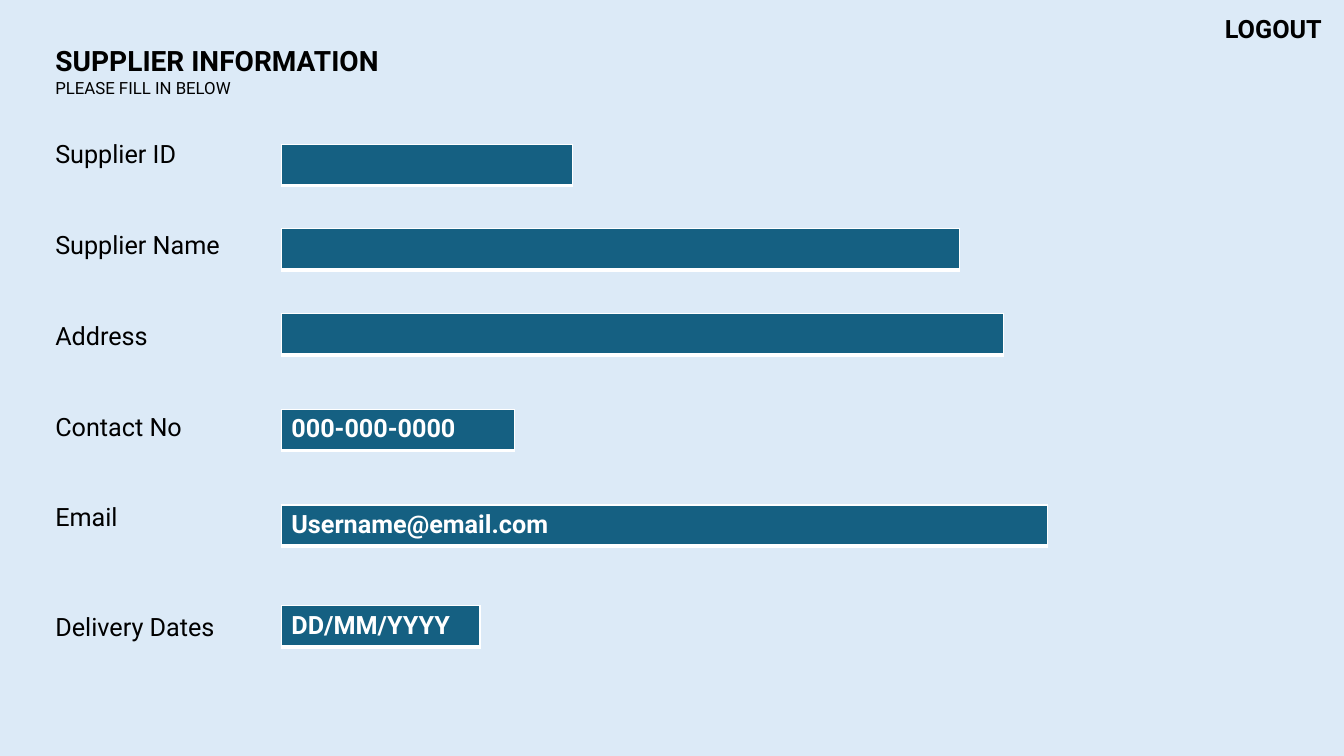
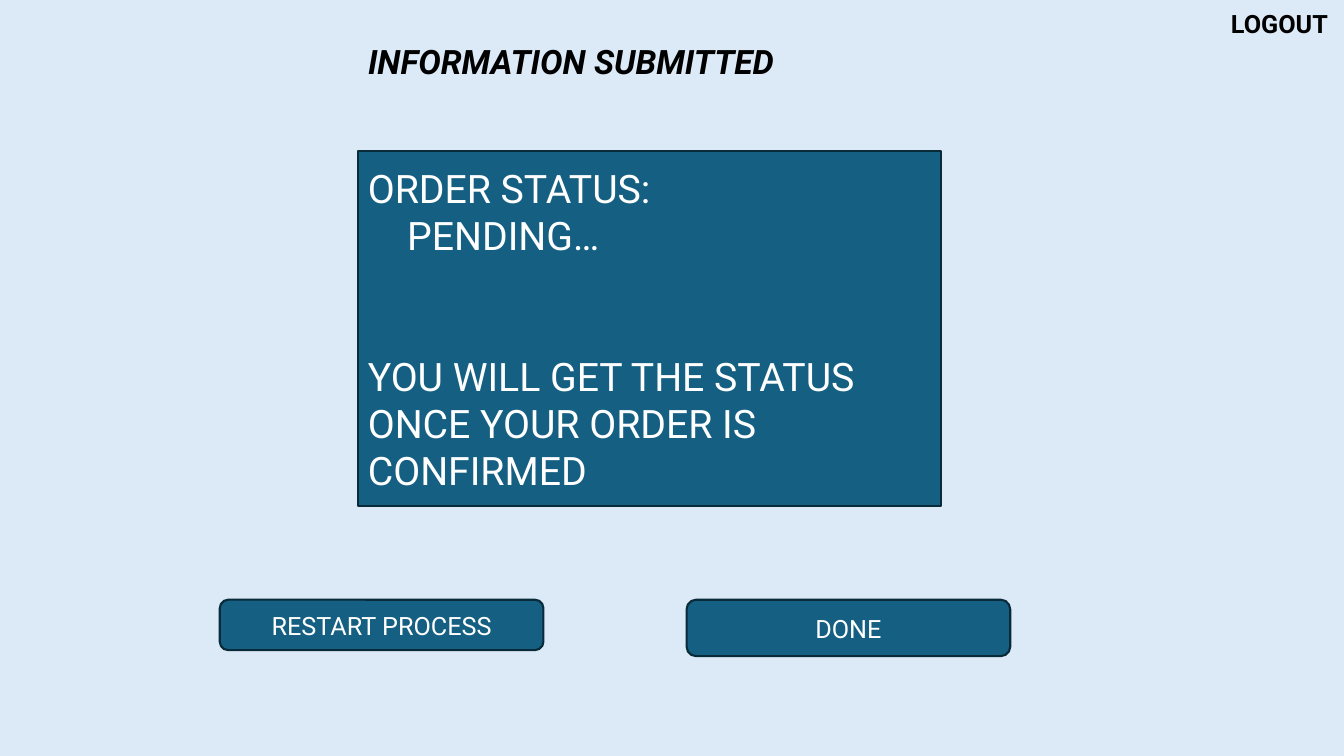
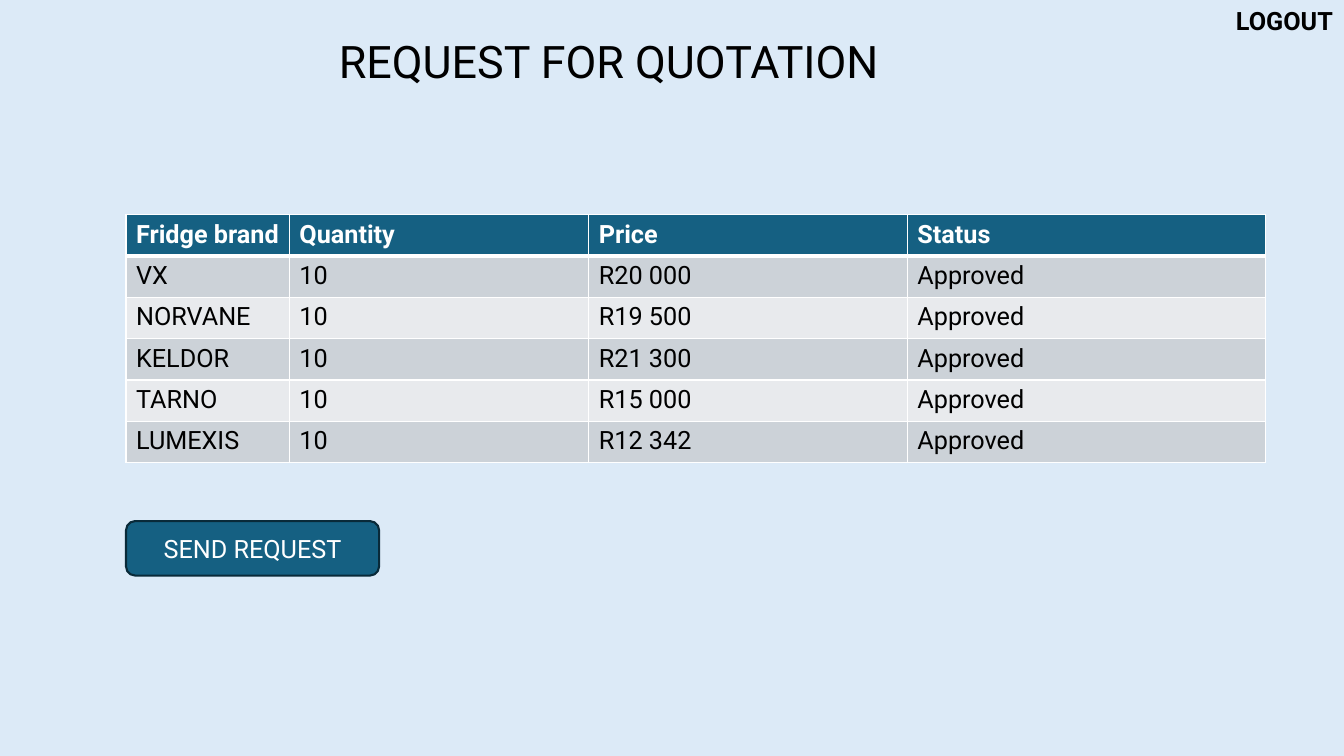
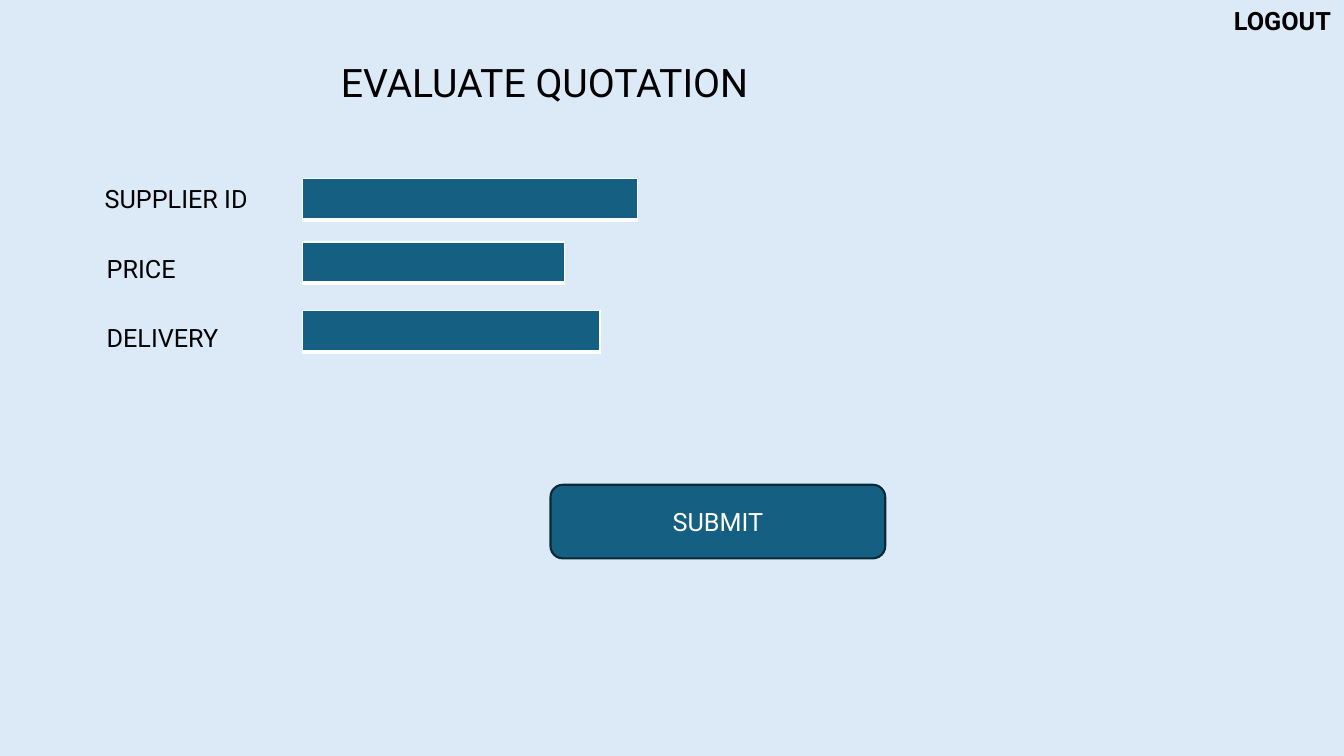
from dataclasses import dataclass

from lxml.etree import SubElement
from pptx import Presentation
from pptx.dml.color import RGBColor
from pptx.enum.shapes import MSO_SHAPE as Shape
from pptx.enum.text import MSO_ANCHOR as Anchor, MSO_AUTO_SIZE as AutoSize, PP_ALIGN as Align
from pptx.oxml.ns import qn
from pptx.util import Pt

EMU_PER_PX = 9144  # 100 px to the inch
SLIDE_WIDTH, SLIDE_HEIGHT = 1333, 750
ROW_HEIGHT = 41
TITLE_ONLY = 5


@dataclass(frozen=True)
class Theme:
    font: str = "Roboto"
    background: str = "DCEAF7"
    accent: str = "156082"
    outline: str = "092A39"
    dark: str = "000000"
    light: str = "FFFFFF"
    bands: tuple = ("CCD2D8", "E8EAED")
    small: int = 12
    body: int = 18
    message: int = 28
    outline_width: float = 1.5
    border: int = 1
    heavy_border: int = 3


def px(*lengths):
    return [length * EMU_PER_PX for length in lengths]


def rgb(color):
    return RGBColor.from_string(color)


def set_borders(cell, color, widths):
    """Draw the cell's sides; widths maps L, R, T and B, in that order, to points."""
    properties = cell._tc.get_or_add_tcPr()
    for index, (side, width) in enumerate(widths.items()):
        line = SubElement(properties, qn(f"a:ln{side}"), w=str(Pt(width)))
        fill = SubElement(line, qn("a:solidFill"))
        SubElement(fill, qn("a:srgbClr"), val=color)
        properties.insert(index, line)


class Deck:
    """Holds the style and the current slide."""

    def __init__(self, theme):
        self.theme = theme
        self.presentation = Presentation()
        self.presentation.slide_width, self.presentation.slide_height = px(SLIDE_WIDTH, SLIDE_HEIGHT)
        fill = self.presentation.slide_master.background.fill
        fill.solid()
        fill.fore_color.rgb = rgb(theme.background)
        self.slide = None

    def format(self, paragraph, size, color, bold=False, italic=False, align=Align.LEFT):
        paragraph.alignment = align
        font = paragraph.font
        font.name, font.size = self.theme.font, Pt(size)
        font.bold, font.italic = bold, italic
        font.color.rgb = rgb(color)

    def new_slide(self, title, box, size, logout, **style):
        """Start a slide with its title and the logout link at (left, top)."""
        layout = self.presentation.slide_layouts[TITLE_ONLY]
        self.slide = self.presentation.slides.add_slide(layout)
        shape = self.slide.shapes.title
        shape.left, shape.top, shape.width, shape.height = px(*box)
        frame = shape.text_frame
        frame.text = title
        frame.auto_size = AutoSize.NONE
        frame.vertical_anchor = Anchor.TOP
        self.format(frame.paragraphs[0], size, self.theme.dark, **style)
        left, top = logout
        self.label("LOGOUT", left, top, SLIDE_WIDTH - left, bold=True)

    def label(self, text, left, top, width, size=None, **style):
        box = self.slide.shapes.add_textbox(*px(left, top, width, 40))
        box.text_frame.word_wrap = True
        box.text_frame.text = text
        self.format(box.text_frame.paragraphs[0], size or self.theme.body, self.theme.dark, **style)

    def panel(self, kind, box, text, size, align):
        """Add an outlined shape; return its paragraphs, one for each line of text."""
        shape = self.slide.shapes.add_shape(kind, *px(*box))
        shape.shadow.inherit = False
        shape.fill.solid()
        shape.fill.fore_color.rgb = rgb(self.theme.accent)
        shape.line.color.rgb = rgb(self.theme.outline)
        shape.line.width = Pt(self.theme.outline_width)
        frame = shape.text_frame
        frame.text = text
        frame.vertical_anchor = Anchor.MIDDLE
        for paragraph in frame.paragraphs:
            self.format(paragraph, size, self.theme.light, align=align)
        return frame.paragraphs

    def button(self, text, *box):
        self.panel(Shape.ROUNDED_RECTANGLE, box, text, self.theme.body, Align.CENTER)

    def table(self, left, top, widths, rows):
        theme = self.theme
        box = px(left, top, sum(widths), ROW_HEIGHT * len(rows))
        table = self.slide.shapes.add_table(len(rows), len(widths), *box).table
        for column, width in zip(table.columns, px(*widths)):
            column.width = width
        for row_index, texts in enumerate(rows):
            header = row_index == 0
            sides = dict.fromkeys("LRTB" if header else "LRB", theme.border)
            if header:
                sides["B"] = theme.heavy_border
            for column_index, text in enumerate(texts):
                cell = table.cell(row_index, column_index)
                cell.fill.solid()
                band = theme.bands[(row_index - 1) % len(theme.bands)]
                cell.fill.fore_color.rgb = rgb(theme.accent if header else band)
                set_borders(cell, theme.light, sides)
                cell.text = text
                color = theme.light if header else theme.dark
                self.format(cell.text_frame.paragraphs[0], theme.body, color, bold=header)

    def field(self, left, top, width, text=""):
        self.table(left, top, [width], [[text]])


def supplier_slide(deck):
    deck.new_slide("SUPPLIER INFORMATION", (45, 38, 500, 40), 20, (1205, 8), bold=True)
    deck.label("PLEASE FILL IN BELOW", 45, 72, 300, deck.theme.small)
    for name, label_top, field_top, width, value in (
        ("Supplier ID", 132, 143, 289, ""),
        ("Supplier Name", 223, 227, 673, ""),
        ("Address", 313, 311, 716, ""),
        ("Contact No", 403, 406, 231, "000-000-0000"),
        ("Email", 492, 501, 760, "Username@email.com"),
        ("Delivery Dates", 602, 601, 197, "DD/MM/YYYY"),
    ):
        deck.label(name, 45, label_top, 220)
        deck.field(279, field_top, width, value)


def status_slide(deck):
    deck.new_slide("INFORMATION SUBMITTED", (355, 36, 505, 50), 24, (1211, 3), bold=True, italic=True)
    message = "ORDER STATUS:\nPENDING…\nYOU WILL GET THE STATUS ONCE YOUR ORDER IS CONFIRMED"
    _, pending, notice = deck.panel(
        Shape.RECTANGLE, (355, 150, 578, 352), message, deck.theme.message, Align.LEFT
    )
    pending._p.get_or_add_pPr().set("marL", str(px(39)[0]))
    notice.space_before = Pt(67)
    deck.button("RESTART PROCESS", 218, 595, 321, 50)
    deck.button("DONE", 681, 595, 321, 56)


def request_slide(deck):
    deck.new_slide("REQUEST FOR QUOTATION", (326, 28, 829, 64), 32, (1216, 0))
    prices = {
        "VX": "R20 000",
        "NORVANE": "R19 500",
        "KELDOR": "R21 300",
        "TARNO": "R15 000",
        "LUMEXIS": "R12 342",
    }
    rows = [["Fridge brand", "Quantity", "Price", "Status"]]
    rows += [[brand, "10", price, "Approved"] for brand, price in prices.items()]
    deck.table(125, 213, [162, 297, 316, 355], rows)
    deck.button("SEND REQUEST", 125, 517, 251, 54)


def evaluation_slide(deck):
    deck.new_slide("EVALUATE QUOTATION", (328, 53, 460, 57), 28, (1214, 0))
    for name, left, label_top, field_top, width in (
        ("SUPPLIER ID", 94, 177, 177, 332),
        ("PRICE", 96, 246, 240, 260),
        ("DELIVERY", 96, 315, 308, 295),
    ):
        deck.label(name, left, label_top, 200)
        deck.field(300, field_top, width)
    deck.button("SUBMIT", 546, 481, 332, 73)


def main():
    deck = Deck(Theme())
    for build in (supplier_slide, status_slide, request_slide, evaluation_slide):
        build(deck)
    deck.presentation.save("out.pptx")


if __name__ == "__main__":
    main()
